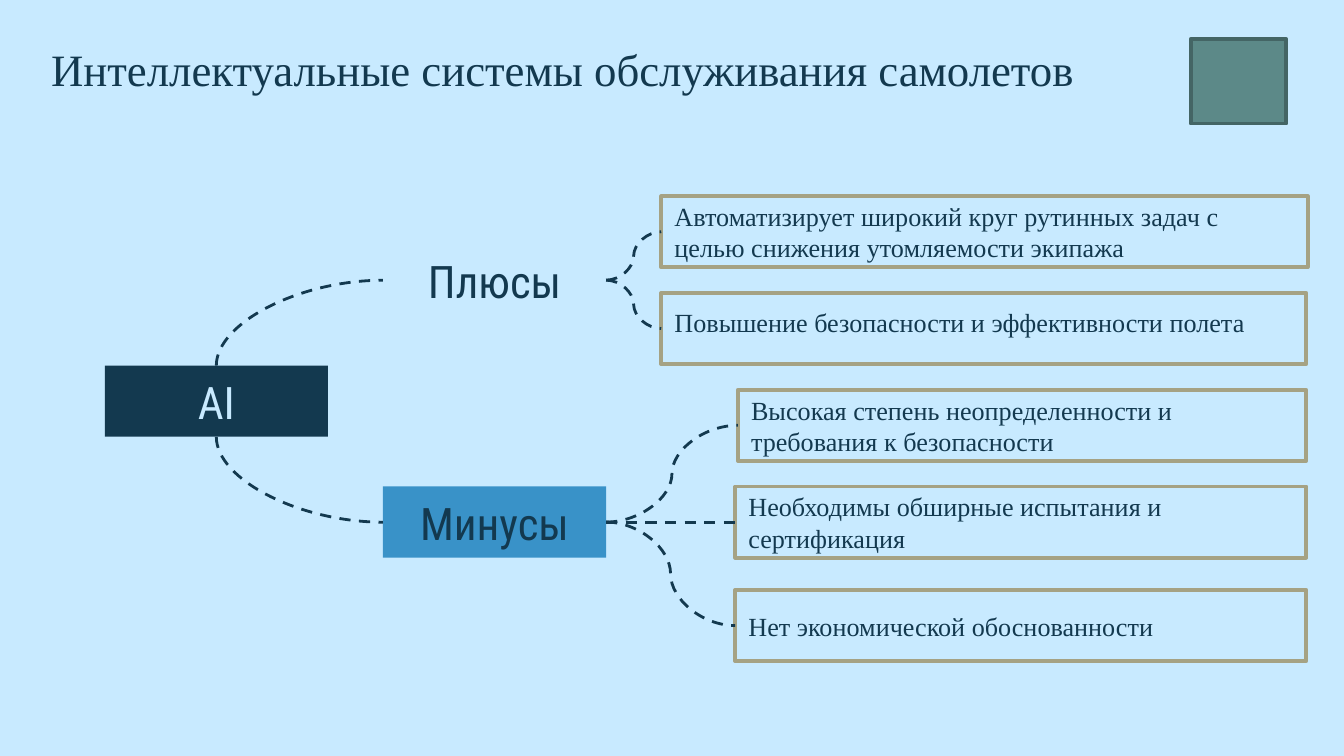
"""Build a slide that maps the pros and cons of AI in aircraft servicing."""
from dataclasses import dataclass

from pptx import Presentation
from pptx.dml.color import RGBColor
from pptx.enum.dml import MSO_LINE_DASH_STYLE as Dash
from pptx.enum.shapes import MSO_CONNECTOR as Link, MSO_SHAPE as Kind
from pptx.enum.text import MSO_ANCHOR as Anchor, MSO_AUTO_SIZE as Fit, PP_ALIGN as Align
from pptx.oxml.ns import qn
from pptx.oxml.xmlchemy import OxmlElement
from pptx.shapes.autoshape import Shape
from pptx.shapes.connector import Connector
from pptx.text.text import TextFrame
from pptx.util import Inches, Pt

NAVY, SKY, BLUE, SAND = "13394F", "C8EAFF", "3992C8", "A5A284"
SERIF, SANS = "Times New Roman", "Roboto Condensed"
HIGH, STEP, TOP = 0.53, 0.72, 1.46
ABOVE, LEFT, BELOW, RIGHT = 0, 1, 2, 3


@dataclass
class Node:
    text: str
    left: float
    top: float
    fill: str
    color: str = NAVY
    width: float = 1.66


@dataclass
class Note:
    text: str
    left: float
    top: float
    right: float = 9.72
    anchor: Anchor = Anchor.MIDDLE


def paint(target, color: str) -> None:
    """Give a fill one solid colour."""
    target.solid()
    target.fore_color.rgb = RGBColor.from_string(color)


def write(frame: TextFrame, text: str, size: int, font: str, color: str,
          align: Align, anchor: Anchor) -> None:
    """Set and format the text of a frame."""
    frame.text = text
    frame.word_wrap = True
    frame.auto_size = Fit.NONE
    frame.vertical_anchor = anchor
    frame.margin_left = frame.margin_right = Inches(0.1)
    frame.margin_top = frame.margin_bottom = Inches(0.1)
    para = frame.paragraphs[0]
    para.alignment = align
    run = para.runs[0].font
    run.size, run.name = Pt(size), font
    run.color.rgb = RGBColor.from_string(color)


def box(shapes, kind: Kind, left: float, top: float, width: float,
        height: float, fill: str, edge: str = "") -> Shape:
    """Add a flat shape, with an outline if an edge colour is given."""
    shape = shapes.add_shape(kind, Inches(left), Inches(top), Inches(width), Inches(height))
    shape.shadow.inherit = False
    paint(shape.fill, fill)
    if edge:
        paint(shape.line.fill, edge)
        shape.line.width = Pt(2)
    else:
        shape.line.fill.background()
    return shape


def add_node(shapes, node: Node) -> Shape:
    """Add a heading block."""
    shape = box(shapes, Kind.RECTANGLE, node.left, node.top, node.width, HIGH, node.fill)
    write(shape.text_frame, node.text, 24, SANS, node.color, Align.CENTER, Anchor.MIDDLE)
    return shape


def add_note(shapes, note: Note) -> Shape:
    """Add an outlined statement."""
    shape = box(shapes, Kind.RECTANGLE, note.left, note.top, note.right - note.left,
                HIGH, SKY, SAND)
    write(shape.text_frame, note.text, 14, SERIF, NAVY, Align.LEFT, note.anchor)
    return shape


def join(shapes, start: Shape, site: int, end: Shape) -> Connector:
    """Add a dashed curve from one site of a shape to the left side of another."""
    line = shapes.add_connector(Link.CURVE, 0, 0, 0, 0)
    line.begin_connect(start, site)
    line.end_connect(end, LEFT)
    paint(line.line.fill, NAVY)
    line.line.width = Pt(1.5)
    line.line.dash_style = Dash.DASH
    line._element.spPr.append(OxmlElement("a:effectLst"))
    return line


def bend(line: Connector, turn: int, flip: bool) -> None:
    """Turn a curve into a quarter arc that leaves its start vertically."""
    wide, high = line.width, line.height
    shift = (wide - high) // 2
    line.left, line.top = line.left + shift, line.top - shift
    line.width, line.height = high, wide
    props = line._element.spPr
    props.find(qn("a:prstGeom")).set("prst", "curvedConnector2")
    frame = props.find(qn("a:xfrm"))
    frame.set("rot", str(turn * 60000))
    frame.set("flipV", str(int(flip)))


def main() -> None:
    """Build and save the slide."""
    deck = Presentation()
    deck.slide_width, deck.slide_height = Inches(10), Inches(10 * 9 / 16)
    slide = deck.slides.add_slide(deck.slide_layouts[5])
    paint(slide.background.fill, SKY)
    shapes = slide.shapes

    title = shapes.title
    title.left, title.top = Inches(0.28), Inches(0.21)
    title.width, title.height = Inches(8.35), Inches(0.63)
    write(title.text_frame, "Интеллектуальные системы обслуживания самолетов",
          24, SERIF, NAVY, Align.LEFT, Anchor.TOP)

    rows = [TOP + STEP * i for i in range(4)]
    root = add_node(shapes, Node("AI", 0.78, 2.72, NAVY, SKY))
    groups = [
        (Node("Плюсы", 2.85, 1.82, SKY), ABOVE, 270, [
            Note("Автоматизирует широкий круг рутинных задач с целью снижения "
                 "утомляемости экипажа", 4.92, rows[0], 9.73),
            Note("Повышение безопасности и эффективности полета", 4.92, rows[1],
                 anchor=Anchor.TOP),
        ]),
        (Node("Минусы", 2.85, rows[3], BLUE), BELOW, 90, [
            Note("Высокая степень неопределенности и требования к безопасности",
                 5.49, rows[2]),
            Note("Необходимы обширные испытания и сертификация", 5.47, rows[3]),
            Note("Нет экономической обоснованности", 5.47, 4.39),
        ]),
    ]
    for node, site, turn, notes in groups:
        head = add_node(shapes, node)
        bend(join(shapes, root, site, head), turn, site == BELOW)
        for note in notes:
            join(shapes, head, RIGHT, add_note(shapes, note))

    box(shapes, Kind.ACTION_BUTTON_CUSTOM, 8.86, 0.29, 0.71, 0.63, "5C8988", "446565")
    deck.save("out.pptx")


if __name__ == "__main__":
    main()
